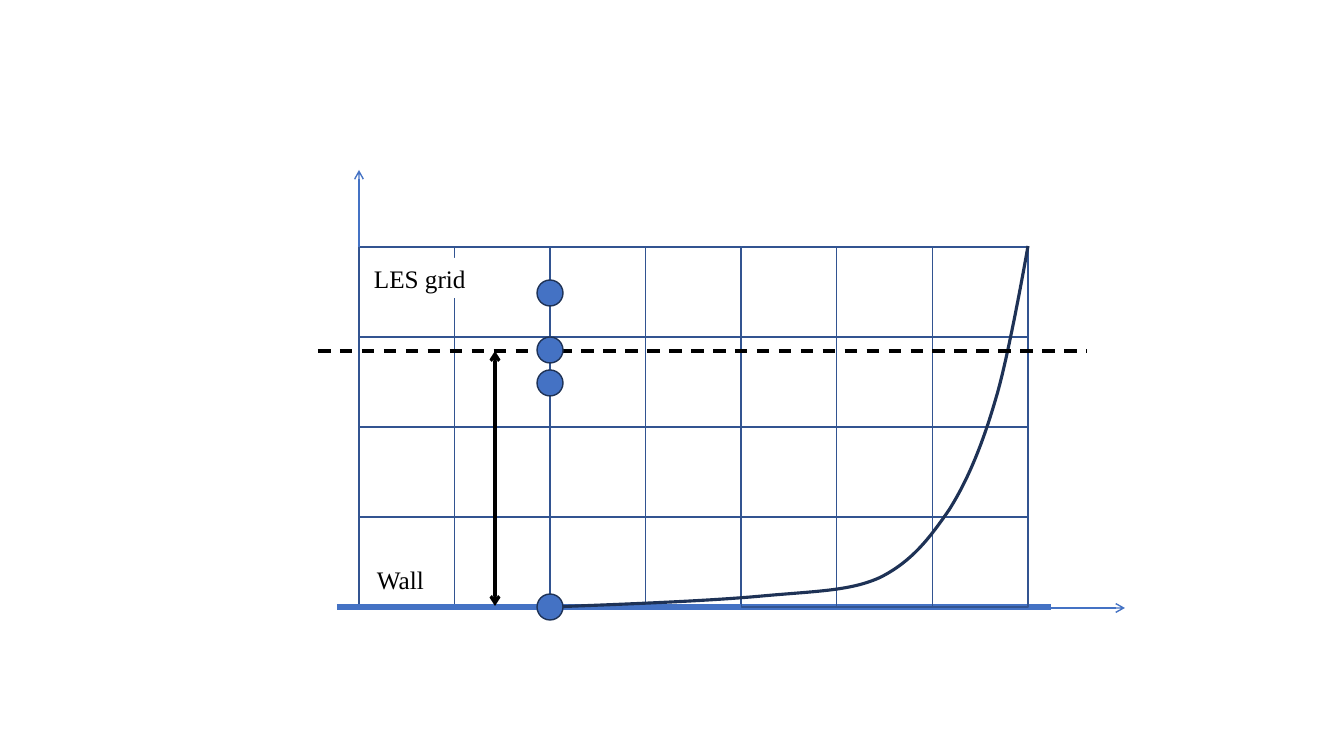
from lxml import etree
from pptx import Presentation
from pptx.dml.color import RGBColor
from pptx.enum.dml import MSO_LINE
from pptx.enum.shapes import MSO_CONNECTOR, MSO_SHAPE
from pptx.enum.text import MSO_AUTO_SIZE, PP_ALIGN
from pptx.oxml.ns import qn
from pptx.util import Emu, Pt

RECTANGLE, OVAL = MSO_SHAPE.RECTANGLE, MSO_SHAPE.OVAL
STRAIGHT = MSO_CONNECTOR.STRAIGHT
DASH = MSO_LINE.DASH
LEFT = PP_ALIGN.LEFT
GROW = MSO_AUTO_SIZE.SHAPE_TO_FIT_TEXT

EMU_PER_PX = 914400 / 100.8
FONT = "Times New Roman"
COLORS = {
    "blue": "4472C4",
    "grid": "325491",
    "navy": "1E3256",
    "black": "000000",
    "white": "FFFFFF",
}

GRID_LEFT, GRID_TOP, GRID_RIGHT, GRID_BOTTOM = 359, 247, 1028, 607
COLUMNS, ROWS = 7, 4
MATCHING_Y = 351
POINT_X, POINT_SIZE = 550, 26
POINT_CENTERS = (607, 293, 383, 350)

# Start point, then two handles and an end point for each Bezier piece
PROFILE = [
    (550, 607),
    (629, 604), (708, 601), (762, 596),
    (817, 591), (851, 591), (881, 577),
    (912, 561), (929, 539), (949, 510),
    (968, 480), (983, 443), (996, 398),
    (1009, 355), (1028, 246), (1028, 246),
]


def px(length):
    return Emu(round(length * EMU_PER_PX))


def rgb(name):
    return RGBColor.from_string(COLORS[name])


class Sketch:
    def __init__(self, page):
        self.shapes = page.shapes

    def style(self, shape, fill=None, line=None, width=1):
        shape.shadow.inherit = False
        if fill:
            shape.fill.solid()
            shape.fill.fore_color.rgb = rgb(fill)
        else:
            shape.fill.background()
        if line:
            shape.line.color.rgb = rgb(line)
            shape.line.width = Pt(width)
        else:
            shape.line.fill.background()

    def shape(self, kind, left, top, width, height, **look):
        shape = self.shapes.add_shape(kind, px(left), px(top), px(width), px(height))
        self.style(shape, **look)
        return shape

    def label(self, text, left, top, width, height, size=18, color="black"):
        box = self.shape(RECTANGLE, left, top, width, height, fill="white")
        frame = box.text_frame
        frame.word_wrap = True
        frame.auto_size = GROW
        para = frame.paragraphs[0]
        para.alignment = LEFT
        span = para.add_run()
        span.text = text
        span.font.name = FONT
        span.font.size = Pt(size)
        span.font.color.rgb = rgb(color)

    def line(self, start, end, color, width=1, dash=None, arrows=()):
        """Draw a line; arrows names the ends, headEnd or tailEnd, that get one."""
        connector = self.shapes.add_connector(STRAIGHT, *map(px, start + end))
        connector.line.color.rgb = rgb(color)
        connector.line.width = Pt(width)
        if dash:
            connector.line.dash_style = dash
        properties = connector._element.spPr
        outline = properties.find(qn("a:ln"))
        for arrow in arrows:
            etree.SubElement(outline, qn(f"a:{arrow}")).set("type", "arrow")
        etree.SubElement(properties, qn("a:effectLst"))

    def curve(self, points, **look):
        """Draw Bezier pieces by joining each three line segments into one."""
        builder = self.shapes.build_freeform(*points[0], scale=EMU_PER_PX)
        builder.add_line_segments(points[1:], close=False)
        shape = builder.convert_to_shape()
        path = shape._element.find(".//" + qn("a:path"))
        segments = path.findall(qn("a:lnTo"))
        for first in range(0, len(segments), 3):
            bezier = etree.SubElement(path, qn("a:cubicBezTo"))
            for segment in segments[first:first + 3]:
                bezier.append(segment[0])
                path.remove(segment)
        self.style(shape, **look)

    def grid(self, columns):
        column_width = (GRID_RIGHT - GRID_LEFT) / COLUMNS
        row_height = (GRID_BOTTOM - GRID_TOP) / ROWS
        for column in columns:
            for row in range(ROWS):
                self.shape(RECTANGLE, GRID_LEFT + column * column_width,
                           GRID_TOP + row * row_height,
                           column_width, row_height, line="grid")


def main():
    deck = Presentation()
    deck.slide_width, deck.slide_height = px(1344), px(756)
    sketch = Sketch(deck.slides.add_slide(deck.slide_layouts[6]))

    sketch.grid(range(4))
    sketch.line((337, 607), (1051, 607), "blue", width=4.5)
    sketch.grid(range(4, 5))
    sketch.line((495, MATCHING_Y), (495, 606), "black", width=2.25,
                arrows=("headEnd", "tailEnd"))
    sketch.label("Wall", 367, 559, 74, 40)
    sketch.label("LES grid", 364, 258, 129, 40)
    sketch.line((837, 608), (1125, 608), "blue", arrows=("tailEnd",))
    sketch.line((GRID_LEFT, GRID_TOP), (GRID_LEFT, 170), "blue", arrows=("tailEnd",))
    sketch.grid(range(5, COLUMNS))
    sketch.curve(PROFILE, line="navy", width=2.25)
    sketch.line((318, MATCHING_Y), (1087, MATCHING_Y), "black", width=2.25, dash=DASH)
    for center in POINT_CENTERS:
        sketch.shape(OVAL, POINT_X - POINT_SIZE / 2, center - POINT_SIZE / 2,
                     POINT_SIZE, POINT_SIZE, fill="blue", line="navy")

    deck.save("out.pptx")


if __name__ == "__main__":
    main()
